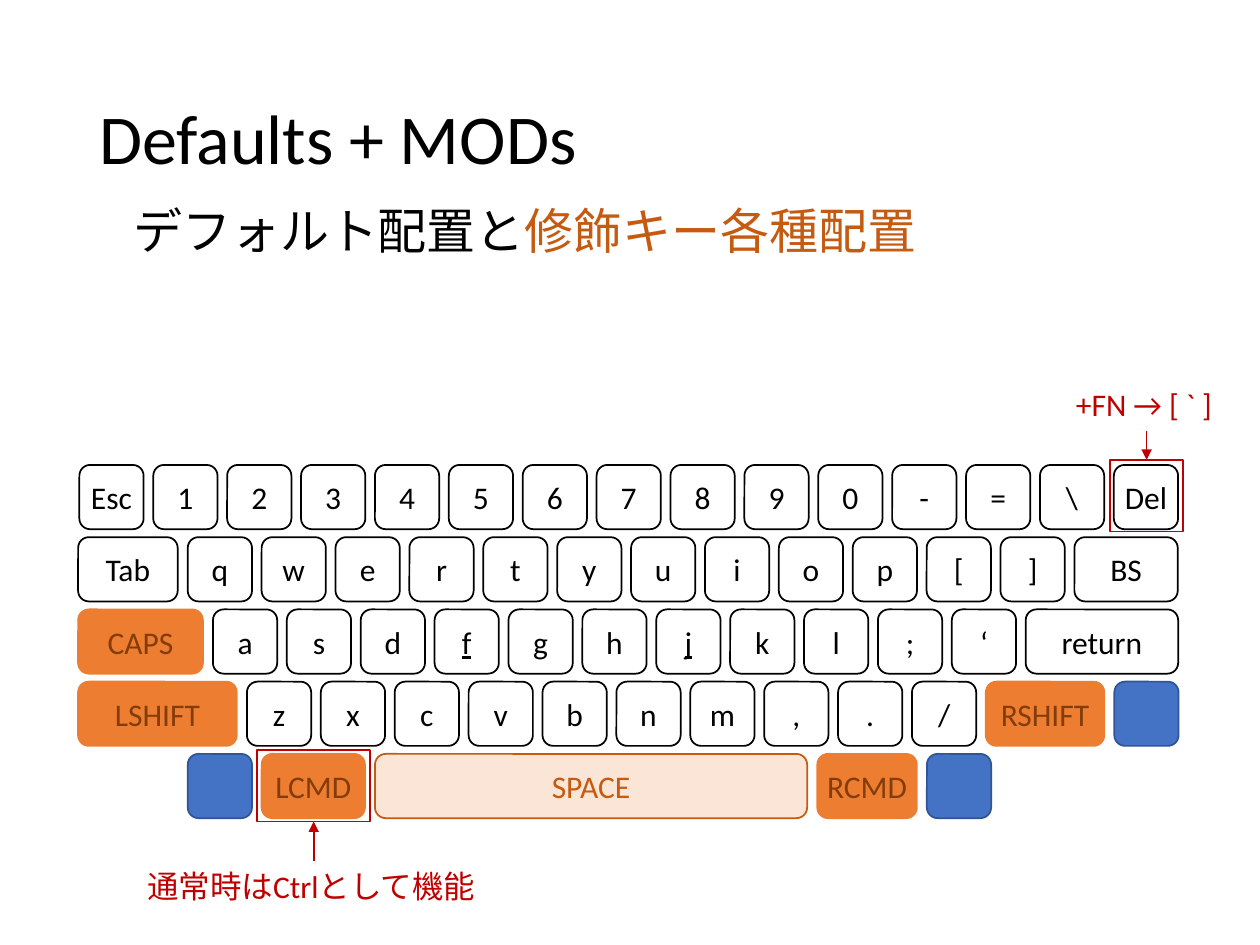
from lxml import etree
from pptx import Presentation
from pptx import util as u
from pptx.dml import color
from pptx.enum import shapes, text
from pptx.oxml import ns

KEY = 0.51                      # side of a standard key
PITCH = (8.84 - 0.63) / 14      # fifteen keys across the top row
WIDE_GAP = 0.08                 # space after a wide key
TOP, ROW_STEP = 3.69, (5.41 - 3.69) / 3
BLACK, RED, RUST = "000000", "C00000", "C55A11"

# Key kinds: fill, outline, label colour
LETTER = ("FFFFFF", BLACK, BLACK)
HOME = (None, BLACK, BLACK)
MODIFIER = ("ED7D31", "ED7D31", "843C0B")
SYSTEM = ("4472C4", "2F5597", None)
SPACEBAR = ("FBE5D6", RUST, RUST)


def rgb(value):
    return color.RGBColor.from_string(value)


class KeyboardSlide:
    font = "Calibri"
    size = 18
    stroke = 1

    def __init__(self, deck):
        self.slide = deck.slides.add_slide(deck.slide_layouts[5])

    def run(self, paragraph, words, ink, size=None, underline=None):
        run = paragraph.add_run()
        run.text = words
        run.font.name = self.font
        run.font.size = u.Pt(size or self.size)
        run.font.color.rgb = rgb(ink)
        run.font.underline = underline

    def title(self, words, *box):
        title = self.slide.shapes.title
        title.left, title.top, title.width, title.height = map(u.Inches, box)
        title.text_frame.vertical_anchor = text.MSO_ANCHOR.MIDDLE
        paragraph = title.text_frame.paragraphs[0]
        paragraph.alignment = text.PP_ALIGN.LEFT
        paragraph.line_spacing = 0.9
        self.run(paragraph, words, BLACK, 40)

    def label(self, runs, *box, size=None, wrap=False):
        frame = self.slide.shapes.add_textbox(*map(u.Inches, box)).text_frame
        frame.word_wrap = wrap
        frame.auto_size = text.MSO_AUTO_SIZE.SHAPE_TO_FIT_TEXT
        for words, ink in runs:
            self.run(frame.paragraphs[0], words, ink, size)

    def outline(self, preset, fill, line, *box):
        shape = self.slide.shapes.add_shape(preset, *map(u.Inches, box))
        shape.shadow.inherit = False
        if fill:
            shape.fill.solid()
            shape.fill.fore_color.rgb = rgb(fill)
        else:
            shape.fill.background()
        shape.line.color.rgb = rgb(line)
        shape.line.width = u.Pt(self.stroke)
        return shape

    def key(self, legend, kind, left, top, width):
        fill, line, ink = kind
        key = self.outline(shapes.MSO_SHAPE.ROUNDED_RECTANGLE, fill, line,
                           left, top, width, KEY)
        if not legend:
            return
        frame = key.text_frame
        frame.word_wrap = False
        frame.vertical_anchor = text.MSO_ANCHOR.MIDDLE
        paragraph = frame.paragraphs[0]
        paragraph.alignment = text.PP_ALIGN.CENTER
        self.run(paragraph, legend, ink, underline=True if kind is HOME else None)

    def row(self, left, top, keys):
        for legend, width, kind in keys:
            self.key(legend, kind, left, top, width)
            left += PITCH if width == KEY else width + WIDE_GAP

    def highlight(self, *box):
        self.outline(shapes.MSO_SHAPE.RECTANGLE, None, RED, *box)

    def arrow(self, *ends):
        arrow = self.slide.shapes.add_connector(
            shapes.MSO_CONNECTOR.STRAIGHT, *map(u.Inches, ends))
        arrow.line.color.rgb = rgb(RED)
        arrow.line.width = u.Pt(self.stroke)
        etree.SubElement(arrow.line._get_or_add_ln(), ns.qn("a:tailEnd"), type="triangle")
        etree.SubElement(arrow._element.spPr, ns.qn("a:effectLst"))


def letters(legends):
    return [(c, KEY, HOME if c in "fj" else LETTER) for c in legends]


def main():
    deck = Presentation()
    deck.slide_width, deck.slide_height = u.Inches(10), u.Inches(7.5)
    board = KeyboardSlide(deck)

    # Heading
    board.title("Defaults + MODs", 0.69, 0.4, 8.62, 1.45)
    board.label([("デフォルト配置と", BLACK), ("修飾キー各種配置", RUST)],
                0.96, 1.54, 6.48, 0.57, size=28)

    # Keyboard: left edge of each row, then its keys
    system_key = ("", KEY, SYSTEM)
    rows = [
        (0.63, [("Esc", KEY, LETTER), *letters("1234567890-=\\"),
                ("Del", KEY, LETTER)]),
        (0.62, [("Tab", 0.79, LETTER), *letters("qwertyuiop[]"),
                ("BS", 0.82, LETTER)]),
        (0.62, [("CAPS", 0.99, MODIFIER), *letters("asdfghjkl;‘"),
                ("return", 1.21, LETTER)]),
        (0.62, [("LSHIFT", 1.26, MODIFIER), *letters("zxcvbnm,./"),
                ("RSHIFT", 0.94, MODIFIER), system_key]),
        (1.49, [system_key, ("LCMD", 0.82, MODIFIER),
                ("SPACE", 3.43, SPACEBAR), ("RCMD", 0.79, MODIFIER),
                system_key]),
    ]
    for index, (left, keys) in enumerate(rows):
        board.row(left, TOP + index * ROW_STEP, keys)

    # Note on the Del key
    board.highlight(8.81, 3.65, 0.58, 0.57)
    board.arrow(9.1, 3.42, 9.1, 3.65)
    board.label([("+FN → [ ` ]", RED)], 8.44, 3.01, 1.31, 0.4)

    # Note on the LCMD key
    board.highlight(2.04, 5.95, 0.9, 0.57)
    board.arrow(2.49, 6.83, 2.49, 6.52)
    board.label([("通常時はCtrlとして機能", RED)], 1.07, 6.83, 2.84, 0.4, wrap=True)

    deck.save("out.pptx")


if __name__ == "__main__":
    main()
